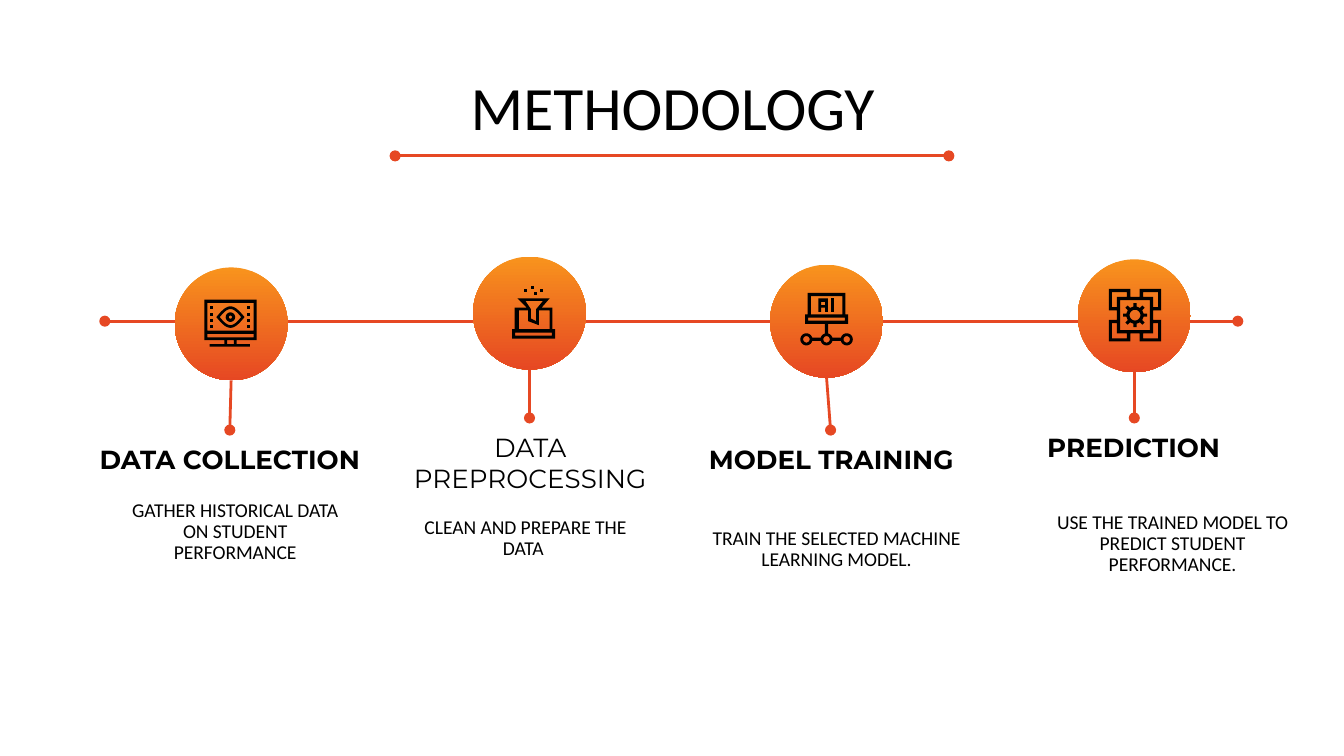
from dataclasses import dataclass
from math import cos, pi, sin

from lxml import etree
from pptx import Presentation
from pptx.dml.color import RGBColor
from pptx.enum.shapes import MSO_CONNECTOR, MSO_SHAPE
from pptx.enum.text import MSO_ANCHOR, MSO_AUTO_SIZE, PP_ALIGN
from pptx.oxml.ns import qn
from pptx.util import Inches, Pt

LINE, OVAL = MSO_CONNECTOR.STRAIGHT, MSO_SHAPE.OVAL
TOP, MIDDLE = MSO_ANCHOR.TOP, MSO_ANCHOR.MIDDLE
GROW, FIXED = MSO_AUTO_SIZE.SHAPE_TO_FIT_TEXT, MSO_AUTO_SIZE.NONE
CENTER = PP_ALIGN.CENTER

WIDTH = Inches(10)
HEIGHT = WIDTH * 9 // 16
CELL = WIDTH / 100  # square grid, 100 columns wide
DOT = CELL / 10     # fine grid for the icons
DISC = 8.4          # disc size in cells
PEN = 2.3           # stroke of the icons in dots


@dataclass(frozen=True)
class Theme:
    ink: RGBColor = RGBColor(0, 0, 0)
    red: RGBColor = RGBColor(0xE6, 0x48, 0x23)
    amber: RGBColor = RGBColor(0xF8, 0x93, 0x1D)
    body: str = "Calibri"
    head: str = "Montserrat"
    title: float = 33
    label: float = 14
    note: float = 10.5
    rule: float = 1.5


class Deck:
    def __init__(self, theme):
        self.theme = theme
        self.prs = Presentation()
        self.prs.slide_width, self.prs.slide_height = WIDTH, HEIGHT
        self.slide = self.prs.slides.add_slide(self.prs.slide_layouts[6])
        self.shapes = self.slide.shapes

    def text(self, words, area, size, font, bold=False, grow=False):
        box = self.shapes.add_textbox(*[round(v * CELL) for v in area])
        frame = box.text_frame
        frame.word_wrap = True
        frame.auto_size = GROW if grow else FIXED
        frame.vertical_anchor = TOP if grow else MIDDLE
        frame.margin_left = frame.margin_right = Inches(0.1)
        frame.margin_top = frame.margin_bottom = Inches(0.1)
        frame.text = words
        para = frame.paragraphs[0]
        para.alignment = CENTER
        para.line_spacing = 1.0 if grow else 0.9
        face = para.runs[0].font
        face.name, face.size, face.bold = font, Pt(size), bold
        face.color.rgb = self.theme.ink

    def line(self, start, end, ends=("headEnd", "tailEnd")):
        link = self.shapes.add_connector(
            LINE, *[round(v * CELL) for v in (*start, *end)])
        link.line.color.rgb = self.theme.red
        link.line.width = Pt(self.theme.rule)
        for tag in ends:
            etree.SubElement(link.line._get_or_add_ln(), qn(f"a:{tag}"), type="oval")
        etree.SubElement(link._element.spPr, qn("a:effectLst"))

    def disc(self, left, top):
        disc = self.shapes.add_shape(
            OVAL, *[round(v * CELL) for v in (left, top, DISC, DISC)])
        disc.shadow.inherit = False
        disc.line.fill.background()
        disc.fill.gradient()
        disc.fill.gradient_angle = 270
        for stop, color in zip(disc.fill.gradient_stops,
                               (self.theme.amber, self.theme.red)):
            stop.color.rgb = color

    def icon(self, origin, parts):
        """Each part is a list of outlines; inner outlines cut holes."""
        group = self.shapes.add_group_shape()
        for part in parts:
            rings = [[(round((origin[0] + x) * DOT), round((origin[1] + y) * DOT))
                      for x, y in ring] for ring in part]
            pen = group.shapes.build_freeform(*rings[0][0])
            pen.add_line_segments(rings[0][1:], close=True)
            for ring in rings[1:]:
                pen.move_to(*ring[0])
                pen.add_line_segments(ring[1:], close=True)
            shape = pen.convert_to_shape()
            shape.shadow.inherit = False
            shape.fill.solid()
            shape.fill.fore_color.rgb = self.theme.ink
            shape.line.fill.background()


# Outlines in dots
def box(x1, y1, x2, y2):
    return [(x1, y1), (x1, y2), (x2, y2), (x2, y1)]


def spot(x, y):
    return [box(x, y, x + PEN, y + PEN)]


def polar(x, y, r, angle):
    return x + r * cos(angle), y + r * sin(angle)


def round_(x, y, r):
    return [polar(x, y, r, pi * i / 16) for i in range(32)]


def lens(x, y, a, b):
    arc = [(a * i / 10, b * cos(pi * i / 20)) for i in range(-10, 11)]
    return ([(x + u, y - v) for u, v in arc]
            + [(x - u, y + v) for u, v in arc[1:-1]])


def gear(x, y):
    tooth = ((6.5, -0.18), (9, -0.13), (9, 0.13), (6.5, 0.18))
    return [polar(x, y, r, pi * k / 4 + turn) for k in range(8) for r, turn in tooth]


def screen():
    frame = [(0, 0), (0, 30), (15, 30), (15, 33), (4, 33), (4, 35),
             (34, 35), (34, 33), (24, 33), (24, 30), (39, 30), (39, 0)]
    return [[frame, box(PEN, PEN, 36.7, 23), box(PEN, 25.5, 36.7, 28),
             box(17, 30, 22, 33)],
            [round_(19.5, 13, 3.5), round_(19.5, 13, 1.2)],
            [lens(19.5, 13, 10.5, 8), lens(19.5, 13, 8, 6)],
            *[spot(x, y) for x in (4, 32) for y in (5, 9.7, 14.3, 19)]]


def funnel():
    case = [(4, 9), (11, 16), (2, 16), (2, 32), (0, 32), (0, 39),
            (32, 39), (32, 32), (30, 32), (30, 16), (22, 16), (28, 9)]
    cone = [(23, 11), (18, 17), (18, 26), (14, 24), (14, 17), (10, 11)]
    hole = [(28, 18), (28, 32), (5, 32), (5, 18),
            (12, 18), (12, 26), (20, 29), (20, 18)]
    return [*[spot(x, y) for x, y in ((14, 0), (9, 2), (16, 4), (21, 2))],
            [case, cone, hole, box(PEN, 34.5, 29.7, 36.8)]]


def laptop():
    case = [(6, 0), (6, 16), (4, 16), (4, 23), (36, 23), (36, 16), (34, 16), (34, 0)]
    nodes = [round_(x, 34.5, r) for x in (5, 20, 35) for r in (4.5, 2.4)]
    links = [box(x, 33.3, x + 6, 35.7) for x in (9.5, 24.5)]
    arch = [(14, 4), (14, 14), (16, 14), (16, 11), (19, 11), (19, 14), (21, 14), (21, 4)]
    return [[case, box(8.3, PEN, 31.7, 16), box(6.3, 18.3, 33.7, 20.7),
             box(18.8, 23, 21.2, 30), *nodes, *links],
            [arch, box(16, 6.7, 19, 9)], [box(23.3, 4, 25.7, 14)]]


def chip():
    def flip(ring, across, down):
        return [(39 - x if across else x, 39 - y if down else y) for x, y in ring]

    edge = [(16, 6), (16, 0), (0, 0), (0, 16), (6, 16)]
    nook = [(13.5, PEN), (13.5, 6), (6, 6), (6, 13.5), (PEN, 13.5), (PEN, PEN)]
    case = (edge + flip(edge, False, True)[::-1]
            + flip(edge, True, True) + flip(edge, True, False)[::-1])
    nooks = [flip(nook, across, down) for across in (0, 1) for down in (0, 1)]
    return [[gear(19.5, 19.5), round_(19.5, 19.5, 4)],
            [case, box(8.4, 8.4, 30.6, 30.6), *nooks]]


# Label, its area, bold; note, its area; disc corner; stem foot; icon and its origin
STEPS = [
    ("DATA COLLECTION", (5.4, 32, 23.4, 4.4), True,
     "GATHER HISTORICAL DATA ON STUDENT PERFORMANCE", (8.6, 35.8, 17.8, 7.6),
     (13, 19.9), (17.1, 32), screen, (152, 223)),
    ("DATA PREPROCESSING", (29.5, 31.1, 19.9, 6.7), False,
     "CLEAN AND PREPARE THE DATA ", (30.2, 36.3, 17.8, 7.6),
     (35.2, 19.1), (39.4, 31.1), funnel, (381, 213)),
    ("MODEL TRAINING", (50.9, 32, 21.9, 4.4), True,
     "TRAIN THE SELECTED MACHINE LEARNING MODEL.", (50.8, 37.1, 22.9, 7.6),
     (57.3, 19.7), (61.8, 32), laptop, (595, 218)),
    ("PREDICTION", (75.9, 31.1, 16.9, 4.4), True,
     "USE THE TRAINED MODEL TO PREDICT STUDENT PERFORMANCE.", (77.4, 36.7, 19.7, 7.6),
     (80.2, 19.3), (84.4, 31.1), chip, (825, 215)),
]


def main():
    theme = Theme()
    deck = Deck(theme)

    # Title with its rule, and the time line
    deck.text("METHODOLOGY", (7.9, 6.4, 84.3, 3.6), theme.title, theme.body)
    deck.line((29.4, 11.6), (70.6, 11.6))
    deck.line((7.8, 23.9), (92.1, 23.9))

    # Steps
    for label, area, bold, note, place, (x, y), foot, draw, origin in STEPS:
        deck.text(note, place, theme.note, theme.body)
        deck.disc(x, y)
        deck.line(foot, (x + DISC / 2, y + DISC), ends=("headEnd",))
        deck.text(label, area, theme.label, theme.head, bold, grow=True)
        deck.icon(origin, draw())

    deck.prs.save("out.pptx")


if __name__ == "__main__":
    main()
